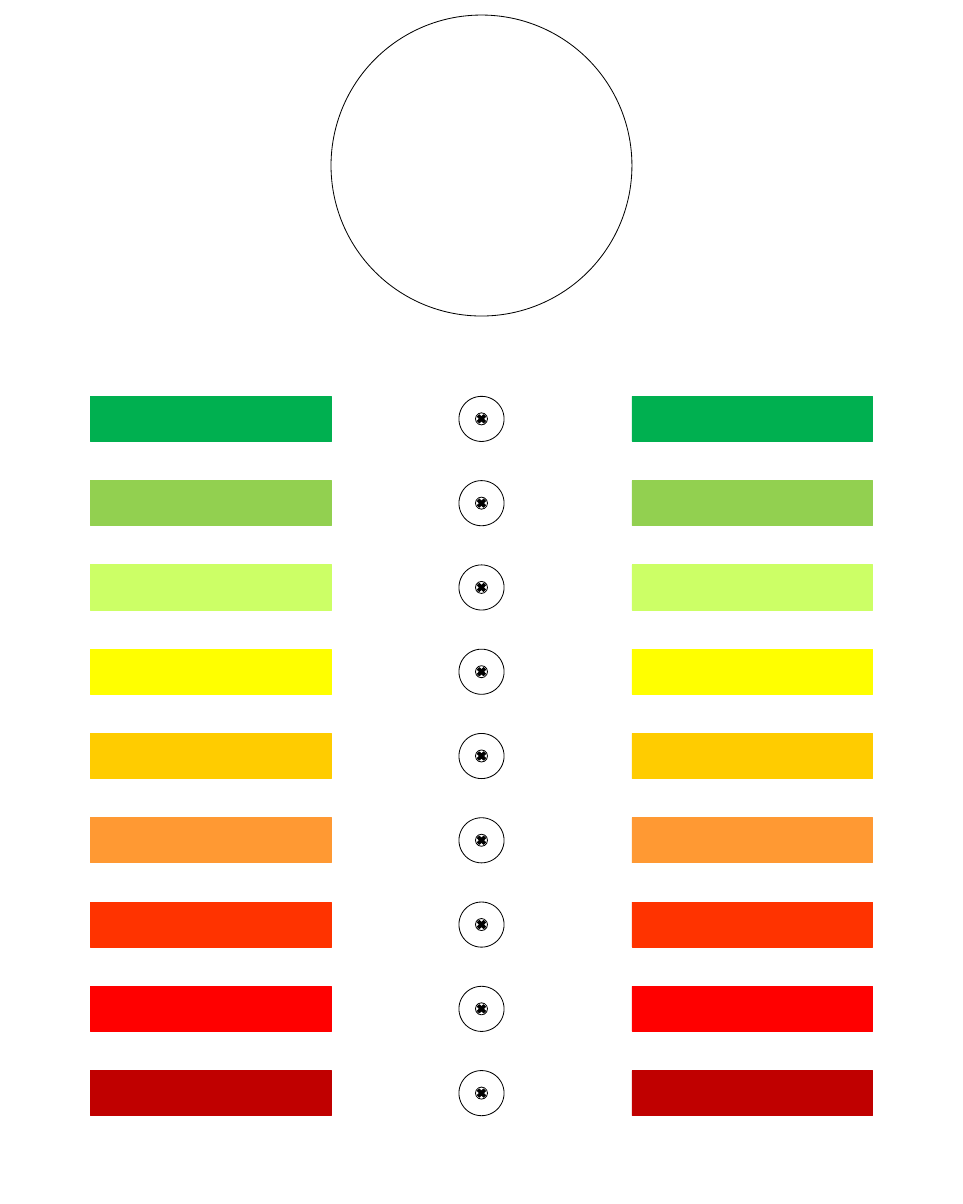
from pptx import Presentation
from pptx.dml.color import RGBColor
from pptx.enum.shapes import MSO_SHAPE as Shape
from pptx.util import Pt

SLIDE_WIDTH, SLIDE_HEIGHT = 1152, 1440
CENTER_X = SLIDE_WIDTH / 2
FIRST_ROW_Y, ROW_PITCH = 501, 100.8
BAR_WIDTH, ROW_HEIGHT = 288, 54
BAR_OFFSET = 324
SCREW_SIZE = 14.4
BAR_COLORS = ["00B050", "92D050", "CCFF66", "FFFF00", "FFCC00",
              "FF9933", "FF3300", "FF0000", "C00000"]

deck = Presentation()
deck.slide_width, deck.slide_height = Pt(SLIDE_WIDTH), Pt(SLIDE_HEIGHT)
page = deck.slides.add_slide(deck.slide_layouts[6])


def color(hex_code):
    return RGBColor.from_string(hex_code)


def add_centered(kind, center_x, center_y, width, height, fill, line="000000"):
    shape = page.shapes.add_shape(kind, Pt(center_x - width / 2), Pt(center_y - height / 2),
                                  Pt(width), Pt(height))
    shape.shadow.inherit = False
    shape.fill.solid()
    shape.fill.fore_color.rgb = color(fill)
    shape.line.color.rgb = color(line)
    shape.line.width = Pt(1)


add_centered(Shape.OVAL, CENTER_X, 198, 360, 360, "FFFFFF")

for row, bar_color in enumerate(BAR_COLORS):
    row_y = FIRST_ROW_Y + row * ROW_PITCH
    for bar_x in (CENTER_X - BAR_OFFSET, CENTER_X + BAR_OFFSET):
        add_centered(Shape.RECTANGLE, bar_x, row_y, BAR_WIDTH, ROW_HEIGHT, bar_color, bar_color)
    add_centered(Shape.OVAL, CENTER_X, row_y, ROW_HEIGHT, ROW_HEIGHT, "FFFFFF")
    add_centered(Shape.OVAL, CENTER_X, row_y, SCREW_SIZE, SCREW_SIZE, "FFFFFF")
    add_centered(Shape.MATH_MULTIPLY, CENTER_X, row_y, SCREW_SIZE, SCREW_SIZE, "000000")

deck.save("out.pptx")
